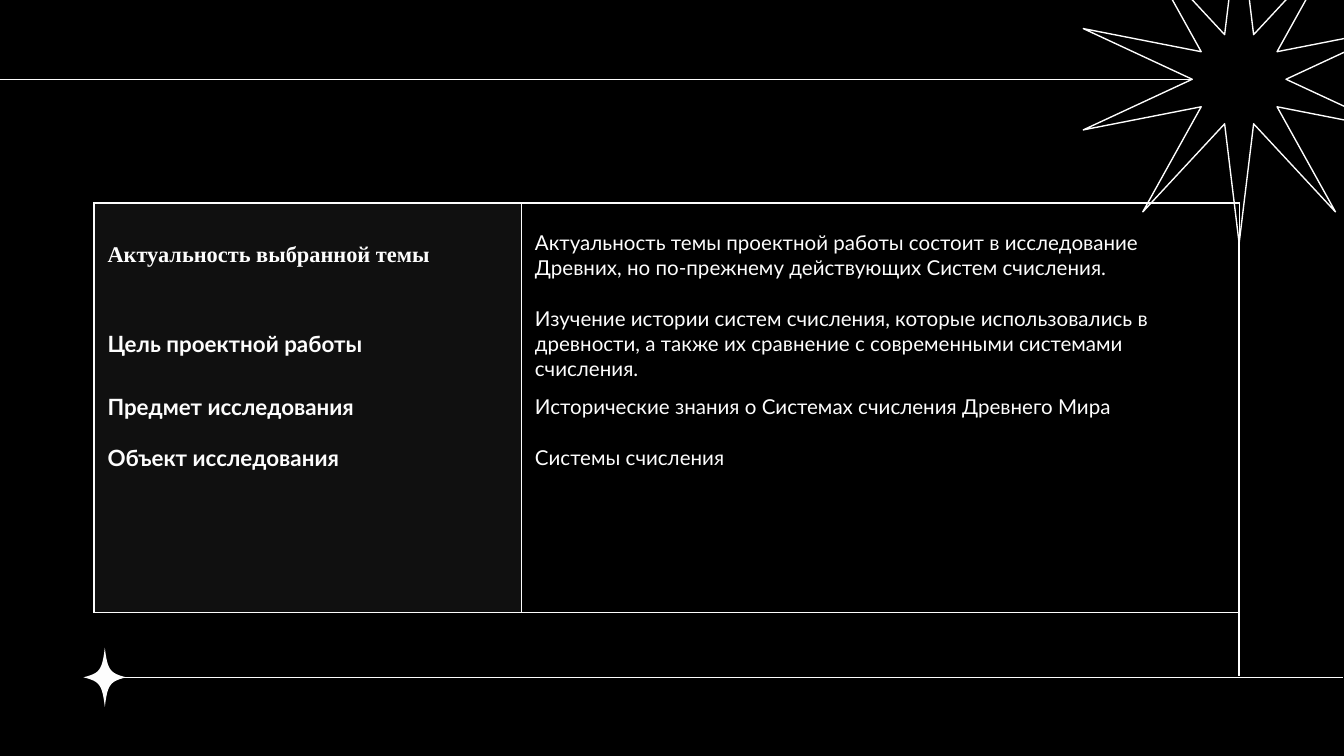
from dataclasses import dataclass
from typing import Any

from lxml import etree
from pptx import Presentation
from pptx import util as u
from pptx.dml import color
from pptx.enum import shapes, text
from pptx.oxml import ns

WHITE, BLACK, PANEL = "FDFDFD", "000000", "101010"
ROWS = [
    ("Актуальность выбранной темы",
     "Актуальность темы проектной работы состоит в исследование Древних, "
     "но по-прежнему действующих Систем счисления."),
    ("Цель проектной работы",
     "Изучение истории систем счисления, которые использовались в древности, "
     "а также их сравнение с современными системами счисления."),
    ("Предмет исследования", "Исторические знания о Системах счисления Древнего Мира"),
    ("Объект исследования", "Системы счисления"),
    ("", ""),
    ("", ""),
]
COLUMN_WIDTHS = [3.18, 5.34]
ROW_HEIGHTS = [0.77, 0.39, 0.38, 0.38, 0.38, 0.58]


def rgb(value):
    return color.RGBColor.from_string(value)


def apply(target, values):
    for name, value in values.items():
        setattr(target, name, value)


def curve(start, first, second, end, steps=12):
    """Return points along a cubic Bezier curve, without its start."""
    points = []
    for step in range(1, steps + 1):
        t = step / steps
        weights = ((1 - t) ** 3, 3 * t * (1 - t) ** 2, 3 * t * t * (1 - t), t ** 3)
        points.append(tuple(
            sum(w * v for w, v in zip(weights, axis))
            for axis in zip(start, first, second, end)))
    return points


@dataclass
class Painter:
    page: Any
    ink: str = WHITE
    weight: float = 0.75

    def stroke(self, line):
        line.color.rgb = rgb(self.ink)
        line.width = u.Pt(self.weight)

    def line(self, *ends):
        link = self.page.shapes.add_connector(
            shapes.MSO_CONNECTOR.STRAIGHT, *map(u.Inches, ends))
        self.stroke(link.line)
        etree.SubElement(link._element.spPr, ns.qn("a:effectLst"))

    def burst(self, *frame):
        star = self.page.shapes.add_shape(
            shapes.MSO_SHAPE.STAR_10_POINT, *map(u.Inches, frame))
        star.adjustments[0] = 0.143
        star.shadow.inherit = False
        star.fill.solid()
        star.fill.fore_color.rgb = rgb(BLACK)
        self.stroke(star.line)

    def sparkle(self, x, y, half_width, half_height):
        """Draw a four-pointed star with curved sides around a centre."""
        signs = [(1, -1), (1, 1), (-1, 1), (-1, -1)]
        points = []
        for index, (sx, sy) in enumerate(signs):
            tip = (x, y + sy * half_height)
            near_tip = (x + sx * 0.02, y + sy * 0.05)
            near_side = (x + sx * 0.04, y + sy * 0.03)
            side = (x + sx * half_width, y)
            corner = [tip, near_tip, near_side, side]
            points += curve(*(corner if index % 2 == 0 else corner[::-1]))
        points = [tuple(map(u.Inches, point)) for point in points]
        builder = self.page.shapes.build_freeform(*points[-1])
        builder.add_line_segments(points, close=True)
        shape = builder.convert_to_shape()
        shape.shadow.inherit = False
        shape.fill.solid()
        shape.fill.fore_color.rgb = rgb(self.ink)
        shape.line.fill.background()

    def borders(self, cell, visible):
        """Draw the named sides (L, R, T, B) and hide the others."""
        properties = cell._tc.get_or_add_tcPr()
        for index, side in enumerate("LRTB"):
            edge = etree.Element(ns.qn(f"a:ln{side}"), w=str(u.Pt(self.weight)))
            if side in visible:
                fill = etree.SubElement(edge, ns.qn("a:solidFill"))
                etree.SubElement(fill, ns.qn("a:srgbClr"), val=self.ink)
            else:
                etree.SubElement(edge, ns.qn("a:noFill"))
            properties.insert(index, edge)

    def cell(self, cell, wording, font, fill=None, space_after=0):
        apply(cell, {
            "vertical_anchor": text.MSO_ANCHOR.MIDDLE,
            "margin_left": u.Inches(0.1), "margin_right": u.Inches(0.1),
            "margin_top": 0, "margin_bottom": 0,
        })
        if fill:
            cell.fill.solid()
            cell.fill.fore_color.rgb = rgb(fill)
        else:
            cell.fill.background()
        para = cell.text_frame.paragraphs[0]
        if wording:
            para.space_after = u.Pt(space_after)
            span = para.add_run()
            span.text = wording
            apply(span.font, font)
            span.font.color.rgb = rgb(self.ink)

    def table(self, left, top, rows, widths, heights):
        frame = self.page.shapes.add_table(
            len(rows), len(widths),
            *map(u.Inches, (left, top, sum(widths), sum(heights))))
        grid = frame.table
        apply(grid, {"first_row": False, "horz_banding": False})
        for column, width in zip(grid.columns, widths):
            column.width = u.Inches(width)
        last = len(rows) - 1
        for index, (label, detail) in enumerate(rows):
            grid.rows[index].height = u.Inches(heights[index])
            label_font = {"name": "Lato" if index else "Times New Roman",
                          "size": u.Pt(12), "bold": True}
            detail_font = {"name": "Lato", "size": u.Pt(11), "bold": False}
            self.cell(grid.cell(index, 0), label, label_font, fill=PANEL)
            self.cell(grid.cell(index, 1), detail, detail_font, space_after=16)
            sides = "LR" + ("T" if index == 0 else "") + ("B" if index == last else "")
            for cell in grid.rows[index].cells:
                self.borders(cell, sides)


def main():
    deck = Presentation()
    width = u.Inches(10)
    apply(deck, {"slide_width": width, "slide_height": width * 9 // 16})
    page = deck.slides.add_slide(deck.slide_layouts[6])
    page.background.fill.solid()
    page.background.fill.fore_color.rgb = rgb(BLACK)

    painter = Painter(page)
    painter.line(0, 0.59, 9.23, 0.59)
    painter.line(0.8, 5.04, 9.99, 5.04)
    painter.line(9.22, -0.01, 9.22, 5.03)
    painter.sparkle(0.78, 5.04, 0.16, 0.22)
    painter.burst(8.06, -0.63, 2.32, 2.44)
    painter.table(0.7, 1.51, ROWS, COLUMN_WIDTHS, ROW_HEIGHTS)
    deck.save("out.pptx")


if __name__ == "__main__":
    main()
